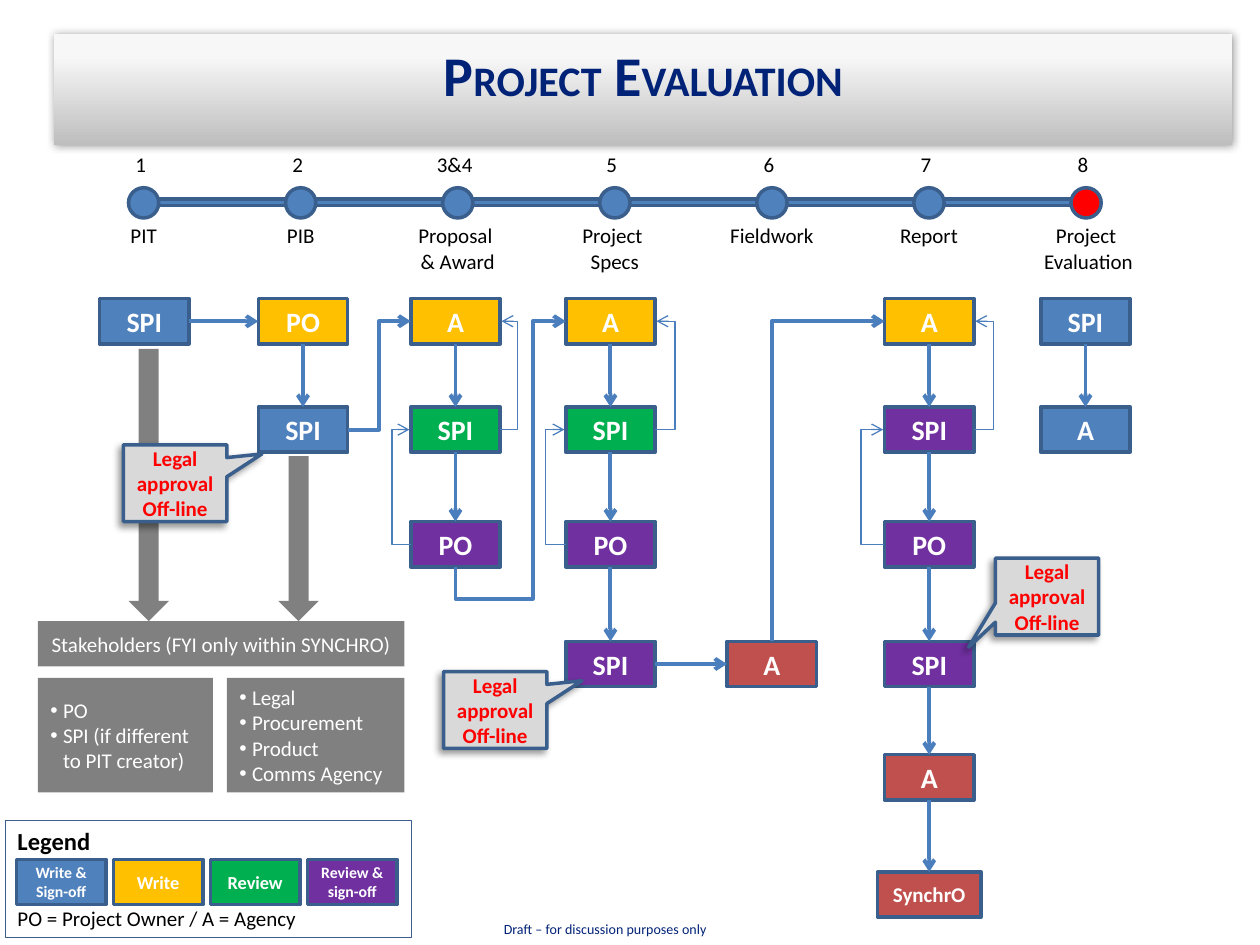
from lxml.etree import SubElement
from pptx import Presentation
from pptx.dml.color import RGBColor
from pptx.enum.shapes import MSO_CONNECTOR as Route, MSO_SHAPE as Form
from pptx.enum.text import MSO_ANCHOR as Anchor, MSO_AUTO_SIZE as Fit, PP_ALIGN as Align
from pptx.oxml.ns import qn
from pptx.util import Emu, Inches, Pt

COLORS = {
    "blue": "4F81BD", "edge": "3A5F8C", "arrow": "4B7EBC", "amber": "FFC000",
    "green": "00B050", "purple": "7030A0", "brick": "C0504D", "red": "FF0000",
    "gray": "808080", "pale": "D9D9D9", "white": "FFFFFF", "black": "000000",
    "navy": "002277", "ink": "00144B", "silver": "BEBEBE", "mist": "F7F7F7",
}
BOX_W, BOX_H = 0.71, 0.36
TOP, LEFT, BOTTOM, RIGHT = 0, 1, 2, 3


class FlowSlide:
    """Draws one process slide on a grid of 10 columns by 7.5 rows."""

    font = "Calibri"

    def __init__(self, deck, layout):
        self.cell = deck.slide_width / 10
        self.slide = deck.slides.add_slide(deck.slide_layouts[layout])
        self.shapes = self.slide.shapes

    def span(self, *cells):
        return [Emu(round(self.cell * count)) for count in cells]

    def rgb(self, name):
        return RGBColor.from_string(COLORS[name])

    def add_piece(self, paragraph, text, size, color, bold=False):
        piece = paragraph.add_run()
        piece.text = text
        piece.font.name, piece.font.size, piece.font.bold = self.font, Pt(size), bold
        piece.font.color.rgb = self.rgb(color)
        return piece

    def add_lines(self, shape, lines, size, color, bold=False, align=Align.CENTER):
        frame = shape.text_frame
        for number, line in enumerate(lines):
            paragraph = frame.add_paragraph() if number else frame.paragraphs[0]
            paragraph.alignment = align
            self.add_piece(paragraph, line, size, color, bold)

    def paint(self, shape, fill, edge=None, weight=2.0):
        shape.fill.solid()
        shape.fill.fore_color.rgb = self.rgb(fill)
        if edge:
            shape.line.color.rgb = self.rgb(edge)
            shape.line.width = Pt(weight)
        else:
            shape.line.fill.background()
        shape.shadow.inherit = False

    def cast(self, shape, blur, distance, degrees):
        shape.shadow.inherit = False
        effects = shape._element.spPr.find(qn("a:effectLst"))
        outer = SubElement(effects, qn("a:outerShdw"), blurRad=str(Pt(blur)),
                           dist=str(Pt(distance)), dir=str(degrees * 60000))
        tint = SubElement(outer, qn("a:srgbClr"), val=COLORS["black"])
        SubElement(tint, qn("a:alpha"), val="40000")

    def place(self, shape, area):
        shape.left, shape.top, shape.width, shape.height = self.span(*area)

    def block(self, area, fill, text="", size=16, color="white", bold=True,
              edge="edge", weight=2.0, form=Form.RECTANGLE):
        shape = self.shapes.add_shape(form, *self.span(*area))
        self.paint(shape, fill, edge, weight)
        if text:
            shape.text_frame.word_wrap = True
            shape.text_frame.vertical_anchor = Anchor.MIDDLE
            self.add_lines(shape, [text], size, color, bold)
        return shape

    def label(self, area, lines, size=12, color="black", bold=False, align=Align.LEFT):
        box = self.shapes.add_textbox(*self.span(*area))
        box.text_frame.word_wrap = False
        box.text_frame.auto_size = Fit.SHAPE_TO_FIT_TEXT
        self.add_lines(box, lines, size, color, bold, align)

    def banner(self, area, pieces):
        title = self.shapes.title
        self.place(title, area)
        title.fill.gradient()
        title.fill.gradient_angle = 90
        for stop, name, position in zip(title.fill.gradient_stops, ("silver", "mist"), (0, 0.8)):
            stop.color.rgb, stop.position = self.rgb(name), position
        self.cast(title, 5, 0, 0)
        title.text_frame.vertical_anchor = Anchor.TOP
        title.text_frame.auto_size = Fit.NONE
        paragraph = title.text_frame.paragraphs[0]
        paragraph.alignment = Align.CENTER
        for text, size in pieces:
            properties = self.add_piece(paragraph, text, size, "navy", True).font._element
            outline = SubElement(properties, qn("a:ln"), w=str(Pt(0.71)))
            SubElement(SubElement(outline, qn("a:solidFill")), qn("a:srgbClr"), val=COLORS["ink"])
            properties.insert(0, outline)

    def bullets(self, index, area, items):
        body = self.slide.placeholders[index]
        self.place(body, area)
        self.paint(body, "gray")
        frame = body.text_frame
        frame.vertical_anchor, frame.auto_size = Anchor.MIDDLE, Fit.NONE
        self.add_lines(body, items, 12, "white", align=Align.LEFT)
        for paragraph in frame.paragraphs:
            paragraph.space_before = Pt(0)
            properties = paragraph._p.get_or_add_pPr()
            properties.set("marL", str(Inches(0.1)))
            properties.set("indent", str(-Inches(0.1)))
            SubElement(properties, qn("a:buFont"), typeface="Arial")
            SubElement(properties, qn("a:buChar"), char="•")

    def connect(self, start, start_side, end, end_side, weight=2.25, kind=Route.STRAIGHT):
        arrow = self.shapes.add_connector(kind, 0, 0, 0, 0)
        arrow.begin_connect(start, start_side)
        arrow.end_connect(end, end_side)
        arrow.line.color.rgb, arrow.line.width = self.rgb("arrow"), Pt(weight)
        SubElement(arrow.line._get_or_add_ln(), qn("a:tailEnd"), type="arrow")
        SubElement(arrow._element.spPr, qn("a:effectLst"))
        return arrow

    def bend(self, arrow, preset, *shares):
        geometry = arrow._element.spPr.find(qn("a:prstGeom"))
        geometry.set("prst", preset)
        guides = geometry.find(qn("a:avLst"))
        for number, share in enumerate(shares, 1):
            SubElement(guides, qn("a:gd"), name=f"adj{number}", fmla=f"val {round(share * 100000)}")

    def loop_back(self, start, end, side, reach):
        arrow = self.connect(start, side, end, side, 0.75, Route.ELBOW)
        step = 0.01
        nudge, = self.span(step if side == RIGHT else -step)
        arrow.end_x = arrow.end_x + nudge
        self.bend(arrow, "bentConnector3", reach / step)

    def climb(self, start, start_side, end, preset, *shares):
        arrow = self.connect(start, start_side, end, LEFT, kind=Route.ELBOW)
        wide, high = arrow.width, arrow.height
        arrow.left, arrow.top = arrow.left + (wide - high) // 2, arrow.top + (high - wide) // 2
        arrow.width, arrow.height = high, wide
        frame = arrow._element.spPr.find(qn("a:xfrm"))
        for name, value in (("rot", "5400000"), ("flipH", "1"), ("flipV", "1")):
            frame.set(name, value)
        self.bend(arrow, preset, *shares)

    def callout(self, left, top, tip):
        note = self.block((left, top, 0.82, 0.61), "pale", "Legal approval Off-line", 12, "red",
                          form=Form.RECTANGULAR_CALLOUT)
        note.adjustments[0], note.adjustments[1] = tip
        self.cast(note, 4, 3, 135)


def timeline(page):
    stages = [("1", 0.29, ["PIT"], 0.41), ("2", 0.29, ["PIB"], 0.42),
              ("3&4", 0.49, ["Proposal ", "& Award"], 0.84),
              ("5", 0.29, ["Project ", "Specs"], 0.73), ("6", 0.29, ["Fieldwork"], 0.87),
              ("7", 0.29, ["Report"], 0.67), ("8", 0.29, ["Project", " Evaluation"], 0.95)]
    page.block((1.14, 1.58, 7.48, 0.05), "blue")
    for index, (number, number_w, caption, caption_w) in enumerate(stages):
        center = 1.14 + 7.48 / 6 * index
        current = index == len(stages) - 1
        page.block((center - 0.12, 1.49, 0.24, 0.24), "red" if current else "blue", form=Form.OVAL)
        page.label((center - 0.02 - number_w / 2, 1.15, number_w, 0.3), [number])
        page.label((center - caption_w / 2, 1.72, caption_w, 0.1 + 0.2 * len(caption)),
                   caption, align=Align.CENTER)


def flow(page):
    rows = [2.37, 3.23, 4.14, 5.09, 5.99, 6.92]
    lanes = {
        "pit": (0.79, 0, "SPI blue"),
        "pib": (2.05, 0, "PO amber", "SPI blue"),
        "award": (3.26, 0, "A amber", "SPI green", "PO purple"),
        "specs": (4.49, 0, "A amber", "SPI green", "PO purple", "SPI purple"),
        "field": (5.77, 3, "A brick"),
        "report": (7.02, 0, "A amber", "SPI purple", "PO purple", "SPI purple", "A brick",
                   "SynchrO brick"),
        "review": (8.26, 0, "SPI blue", "A blue"),
    }
    steps = {}
    for lane, (left, first, *entries) in lanes.items():
        steps[lane] = []
        for entry, top in zip(entries, rows[first:]):
            role, fill = entry.split()
            extra, size = (0.11, 12) if role == "SynchrO" else (0, 16)
            area = (left - extra / 2, top, BOX_W + extra, BOX_H)
            steps[lane].append(page.block(area, fill, role, size))
    for chain in steps.values():
        for upper, lower in zip(chain, chain[1:]):
            page.connect(upper, BOTTOM, lower, TOP)
    page.connect(steps["pit"][0], RIGHT, steps["pib"][0], LEFT)
    page.connect(steps["specs"][3], RIGHT, steps["field"][0], LEFT)
    page.connect(steps["pib"][1], RIGHT, steps["award"][0], LEFT, kind=Route.ELBOW)
    page.climb(steps["award"][2], BOTTOM, steps["specs"][0], "bentConnector4", -0.13, 0.7)
    page.climb(steps["field"][0], TOP, steps["report"][0], "bentConnector2")
    for lane, right_reach, left_reach in (("award", 0.14, 0.15), ("specs", 0.16, 0.16),
                                          ("report", 0.16, 0.19)):
        author, reviewer, owner = steps[lane][:3]
        page.loop_back(reviewer, author, RIGHT, right_reach)
        page.loop_back(owner, reviewer, LEFT, left_reach)


def stakeholders(page):
    for left, top in ((1.02, 2.77), (2.21, 3.62)):
        page.block((left, top, 0.32, 4.93 - top), "gray", edge=None, form=Form.DOWN_ARROW)
    page.block((0.3, 4.93, 2.91, 0.36), "gray", "Stakeholders (FYI only within SYNCHRO)", 12,
               bold=False, edge=None)
    page.bullets(1, (0.3, 5.38, 1.39, 0.91), ["PO", "SPI (if different to PIT creator)"])
    page.bullets(2, (1.8, 5.38, 1.41, 0.91), ["Legal", "Procurement", "Product", "Comms Agency"])


def legend(page):
    page.block((0.04, 6.51, 3.22, 0.93), "white", weight=0.25)
    keys = [("Write & Sign-off", "blue", 9), ("Write", "amber", 10.5),
            ("Review", "green", 10.5), ("Review & sign-off", "purple", 9)]
    for index, (meaning, fill, size) in enumerate(keys):
        page.block((0.13 + 0.77 * index, 6.82, BOX_W, BOX_H), fill, meaning, size)
    page.label((0.04, 7.14, 2.45, 0.3), ["PO = Project Owner / A = Agency"])
    page.label((0.04, 6.51, 0.78, 0.34), ["Legend"], 14, bold=True)


def main():
    deck = Presentation()
    deck.slide_width, deck.slide_height = Inches(10), Inches(7.5)
    page = FlowSlide(deck, 3)
    page.label((3.9, 7.26, 2, 0.24), ["Draft – for discussion purposes only"], 8, "navy")
    page.banner((0.43, 0.27, 9.35, 0.88),
                [("P", 32), ("ROJECT", 24), (" E", 32), ("VALUATION", 24)])
    timeline(page)
    flow(page)
    stakeholders(page)
    for left, top, tip in ((0.98, 3.53, (0.84, -0.38)), (7.9, 4.43, (-0.76, 0.66)),
                           (3.52, 5.33, (0.84, -0.38))):
        page.callout(left, top, tip)
    legend(page)
    deck.save("out.pptx")


if __name__ == "__main__":
    main()
